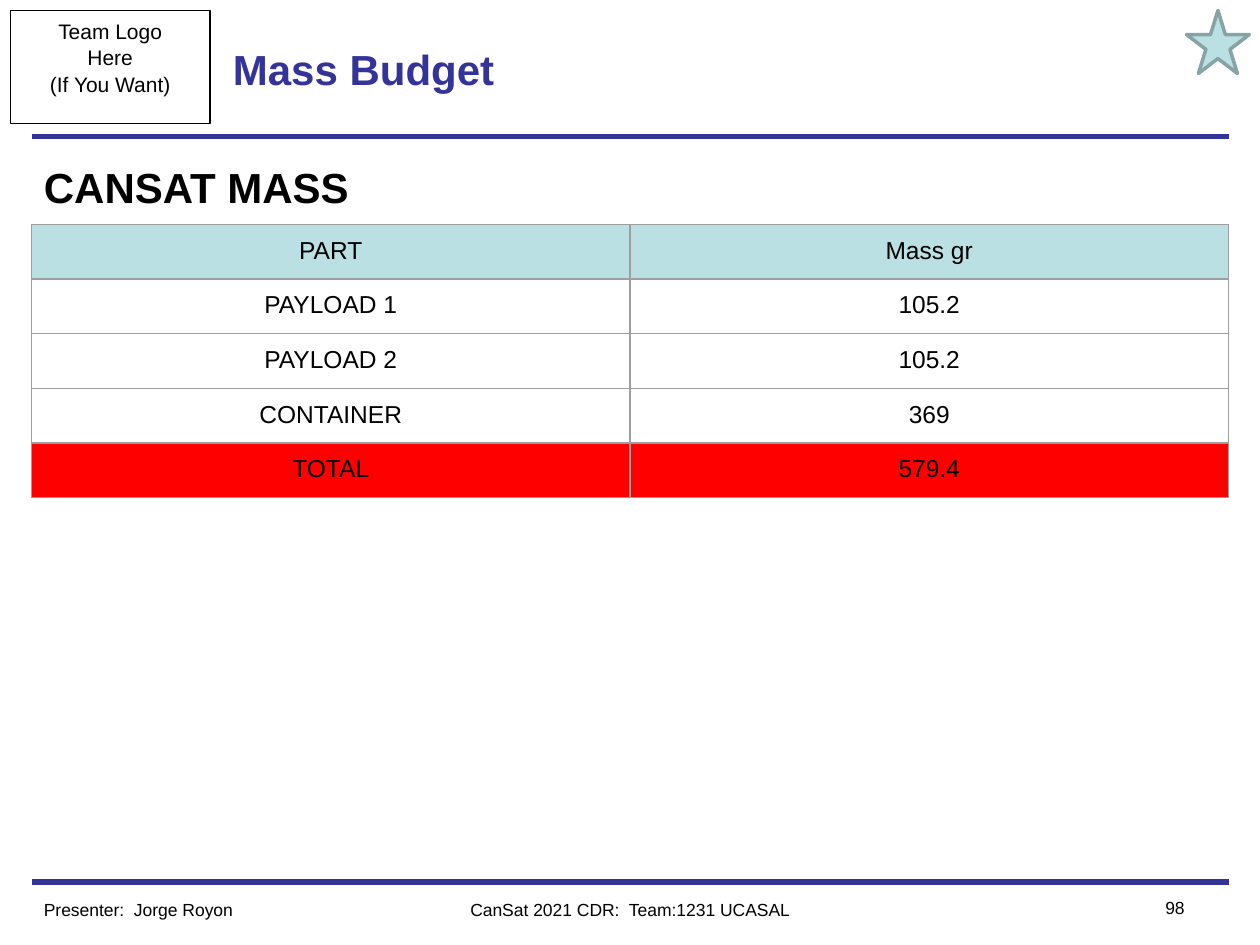
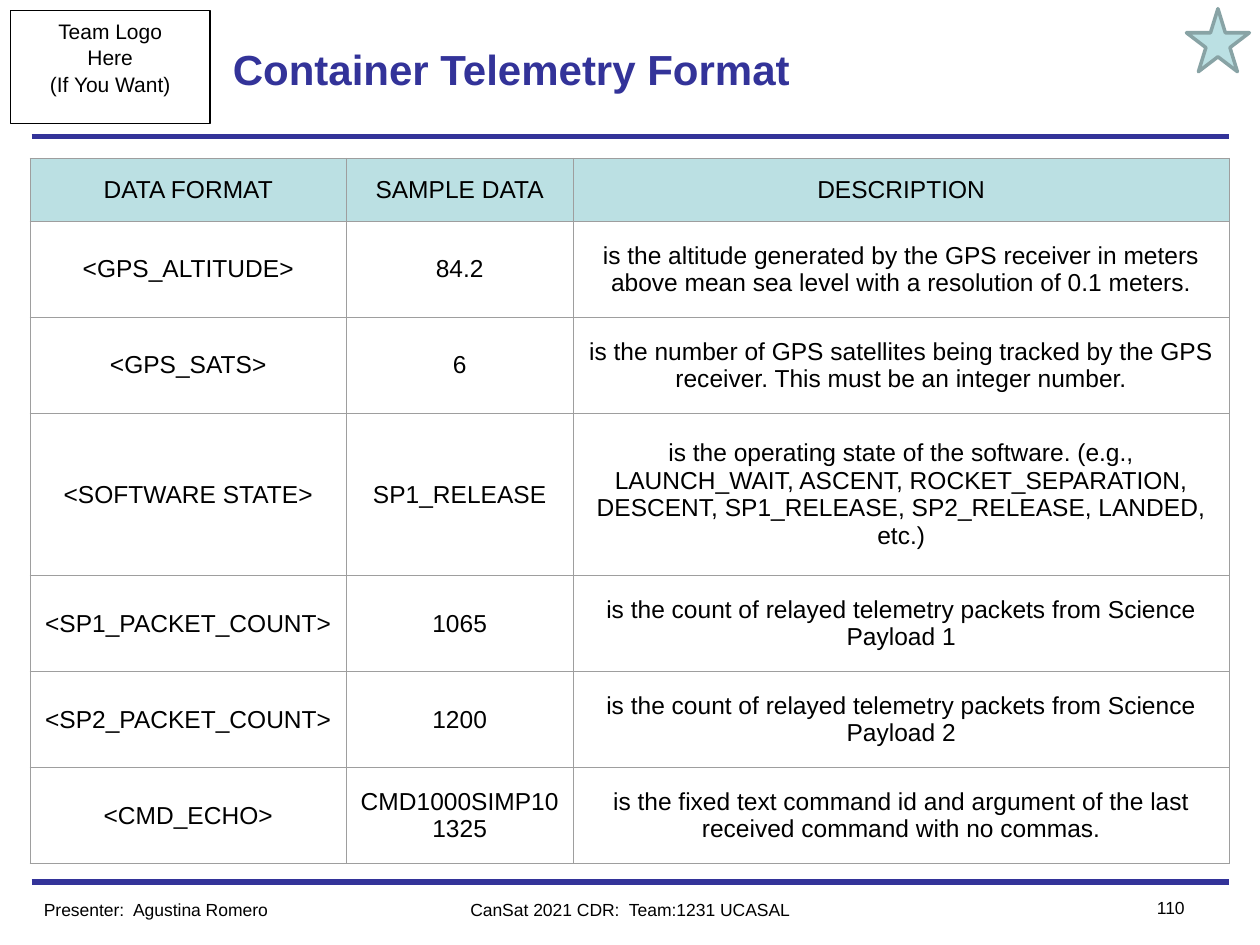
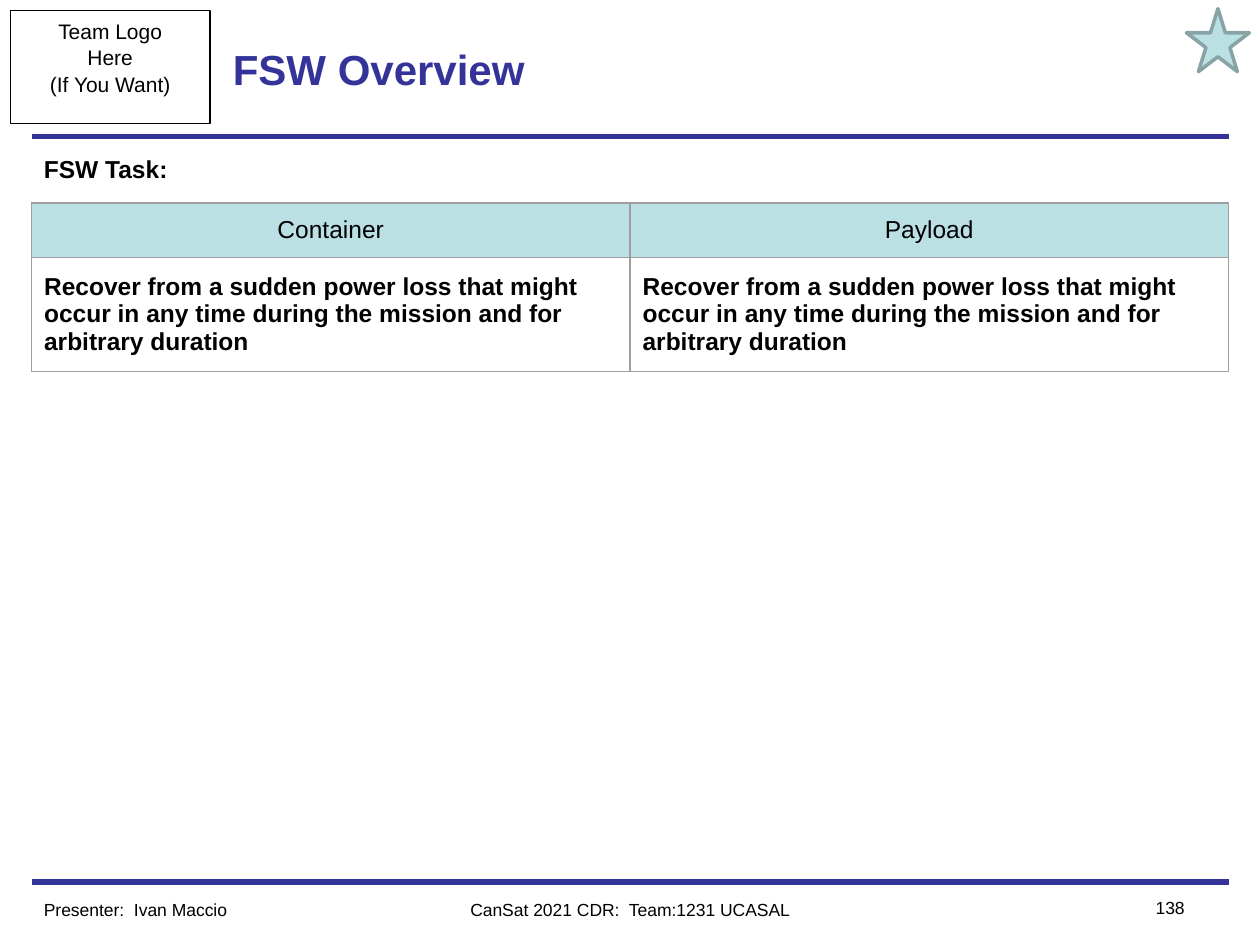
from pptx import Presentation
from pptx.dml.color import RGBColor
from pptx.enum.shapes import MSO_CONNECTOR, MSO_SHAPE
from pptx.enum.text import MSO_ANCHOR, PP_ALIGN
from pptx.oxml import parse_xml
from pptx.oxml.ns import nsdecls
from pptx.oxml.xmlchemy import OxmlElement
from pptx.util import Pt

# Shared style
NAVY = RGBColor(0x33, 0x33, 0x99)
BLACK = RGBColor(0x00, 0x00, 0x00)
AQUA = RGBColor(0xBB, 0xE0, 0xE3)
AQUA_DARK = RGBColor(0x88, 0xA3, 0xA5)
RED = RGBColor(0xFF, 0x00, 0x00)
GRID = RGBColor(0x9E, 0x9E, 0x9E)
FONT = "Arial"
LEFT, CENTER, RIGHT = PP_ALIGN.LEFT, PP_ALIGN.CENTER, PP_ALIGN.RIGHT
TOP, MIDDLE = MSO_ANCHOR.TOP, MSO_ANCHOR.MIDDLE
MARGIN, CONTENT_WIDTH = 18, 684
FOOTER_TOP, FOOTER_HEIGHT = 510, 19.2
FOOTER_TEXT = "CanSat 2021 CDR:  Team:1231 UCASAL"

# Slide contents
MASS_ROWS = [
    ("PART", "Mass gr"),
    ("PAYLOAD 1", "105.2"),
    ("PAYLOAD 2", "105.2"),
    ("CONTAINER", "369"),
    ("TOTAL", "579.4"),
]
TELEMETRY_ROWS = [
    ("DATA FORMAT", "SAMPLE DATA", "DESCRIPTION"),
    ("<GPS_ALTITUDE>", "84.2",
     "is the altitude generated by the GPS receiver in meters above mean sea "
     "level with a resolution of 0.1 meters."),
    ("<GPS_SATS>", "6",
     "is the number of GPS satellites being tracked by the GPS receiver. "
     "This must be an integer number."),
    ("<SOFTWARE STATE>", "SP1_RELEASE",
     "is the operating state of the software. (e.g., LAUNCH_WAIT, ASCENT, "
     "ROCKET_SEPARATION, DESCENT, SP1_RELEASE, SP2_RELEASE, LANDED, etc.)"),
    ("<SP1_PACKET_COUNT>", "1065",
     "is the count of relayed telemetry packets from Science Payload 1"),
    ("<SP2_PACKET_COUNT>", "1200",
     "is the count of relayed telemetry packets from Science Payload 2"),
    ("<CMD_ECHO>", "CMD1000SIMP101325",
     "is the fixed text command id and argument of the last received command "
     "with no commas."),
]
POWER_LOSS_TASK = ("Recover from a sudden power loss that might occur in any time "
                   "during the mission and for arbitrary duration")
TASK_ROWS = [("Container", "Payload"), (POWER_LOSS_TASK, POWER_LOSS_TASK)]


def write_text(text_frame, text, size, color=BLACK, bold=False, align=LEFT):
    text_frame.text = text
    for paragraph in text_frame.paragraphs:
        paragraph.alignment = align
        for run in paragraph.runs:
            run.font.name = FONT
            run.font.size = Pt(size)
            run.font.bold = bold
            run.font.color.rgb = color


def add_text(slide, left, top, width, height, text, size, anchor=TOP, **style):
    text_box = slide.shapes.add_textbox(Pt(left), Pt(top), Pt(width), Pt(height))
    text_box.text_frame.word_wrap = True
    text_box.text_frame.vertical_anchor = anchor
    write_text(text_box.text_frame, text, size, **style)


def add_rule(slide, top):
    rule = slide.shapes.add_connector(
        MSO_CONNECTOR.STRAIGHT, Pt(MARGIN), Pt(top), Pt(MARGIN + CONTENT_WIDTH), Pt(top))
    rule.line.color.rgb = NAVY
    rule.line.width = Pt(3)
    rule._element.spPr.append(OxmlElement("a:effectLst"))


def add_logo_box(slide):
    box = slide.shapes.add_shape(MSO_SHAPE.RECTANGLE, Pt(6), Pt(6), Pt(114), Pt(64.8))
    box.shadow.inherit = False
    box.fill.background()
    box.line.color.rgb = BLACK
    box.line.width = Pt(0.75)
    box.text_frame.vertical_anchor = TOP
    write_text(box.text_frame, "Team Logo\nHere\n(If You Want)", 12, align=CENTER)
    for paragraph in box.text_frame.paragraphs:
        paragraph.line_spacing = 1.06


def add_star(slide, top):
    star = slide.shapes.add_shape(MSO_SHAPE.STAR_5_POINT, Pt(678), Pt(top), Pt(36), Pt(36))
    star.shadow.inherit = False
    star.fill.solid()
    star.fill.fore_color.rgb = AQUA
    star.line.color.rgb = AQUA_DARK
    star.line.width = Pt(2)


def add_borders(cell):
    properties = cell._tc.get_or_add_tcPr()
    for side in ("lnL", "lnR", "lnT", "lnB"):
        properties.append(parse_xml(
            f'<a:{side} {nsdecls("a")} w="{Pt(0.75)}"><a:solidFill>'
            f'<a:srgbClr val="{GRID}"/></a:solidFill></a:{side}>'))


def add_grid(slide, left, top, widths, heights, rows, anchor=MIDDLE,
             row_fills=None, bold_body=False):
    """Add a table with an aqua header; row_fills maps other rows to a colour."""
    fills = {0: AQUA, **(row_fills or {})}
    table = slide.shapes.add_table(
        len(rows), len(widths), Pt(left), Pt(top), Pt(sum(widths)), Pt(sum(heights))).table
    table.first_row = table.horz_banding = False
    for column, width in zip(table.columns, widths):
        column.width = Pt(width)
    for index, (row, height, texts) in enumerate(zip(table.rows, heights, rows)):
        row.height = Pt(height)
        bold = bold_body and index > 0
        for cell, text in zip(row.cells, texts):
            cell.margin_left = cell.margin_right = Pt(7.2)
            cell.margin_top = cell.margin_bottom = Pt(7.2)
            cell.vertical_anchor = anchor
            write_text(cell.text_frame, text, 14, bold=bold, align=LEFT if bold else CENTER)
            add_borders(cell)
            if index in fills:
                cell.fill.solid()
                cell.fill.fore_color.rgb = fills[index]
            else:
                cell.fill.background()


def add_base_slide(presentation, title, presenter, number, star_top=5):
    """Add a slide with the header, rules and footer that all slides share."""
    slide = presentation.slides.add_slide(presentation.slide_layouts[6])
    add_rule(slide, 504)
    add_rule(slide, 78)
    add_logo_box(slide)
    add_text(slide, 126, 6, 468, 66, title, 24, anchor=MIDDLE, color=NAVY, bold=True)
    add_star(slide, star_top)
    add_text(slide, MARGIN, FOOTER_TOP, 180, FOOTER_HEIGHT, f"Presenter:  {presenter}", 10)
    add_text(slide, 216, FOOTER_TOP, 288, FOOTER_HEIGHT, FOOTER_TEXT, 10, align=CENTER)
    add_text(slide, 630, FOOTER_TOP - 1, 54, FOOTER_HEIGHT, str(number), 10, align=RIGHT)
    return slide


def main():
    presentation = Presentation()
    presentation.slide_width, presentation.slide_height = Pt(720), Pt(540)
    halves = [CONTENT_WIDTH / 2] * 2

    # Mass budget
    slide = add_base_slide(presentation, "Mass Budget", "Jorge Royon", 98, star_top=6)
    add_text(slide, MARGIN, 88.5, 448, 44, "CANSAT MASS", 24, bold=True)
    add_grid(slide, MARGIN, 128.2, halves, [31.2] * 5, MASS_ROWS, anchor=TOP,
             row_fills={4: RED})

    # Container telemetry
    slide = add_base_slide(presentation, "Container Telemetry Format", "Agustina Romero", 110)
    add_grid(slide, 17.3, 90.5, [180.6, 129.6, 375],
             [36, 54.9, 54.9, 92.6, 54.9, 54.9, 54.9], TELEMETRY_ROWS)

    # Flight software overview
    slide = add_base_slide(presentation, "FSW Overview", "Ivan Maccio", 138)
    add_text(slide, MARGIN, 84.5, CONTENT_WIDTH, 26, "FSW Task:", 14, bold=True)
    add_grid(slide, MARGIN, 116, halves, [30.4, 61.8], TASK_ROWS, bold_body=True)

    presentation.save("out.pptx")


if __name__ == "__main__":
    main()
